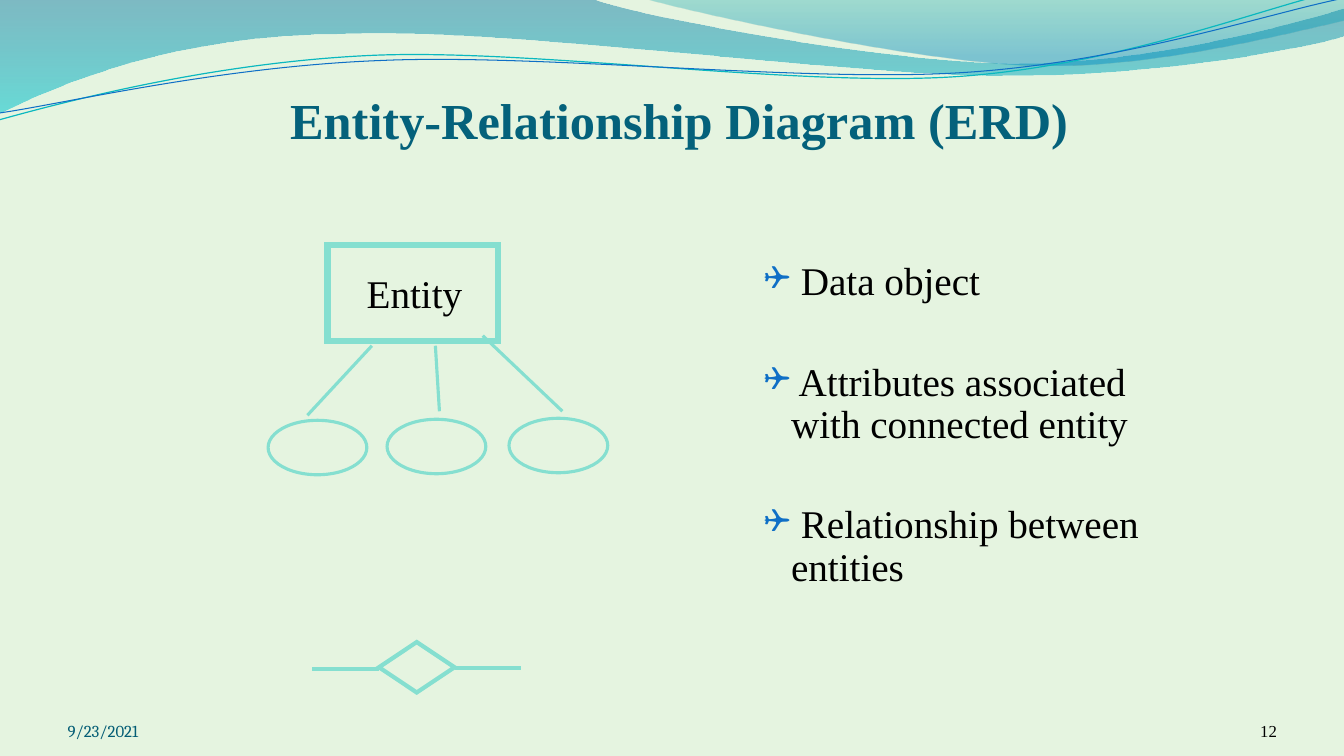
import math
from dataclasses import dataclass

import pptx
import pptx.dml.color
import pptx.enum.shapes
import pptx.enum.text
import pptx.oxml
import pptx.oxml.ns
import pptx.util
from lxml import etree

COLORS = {
    "background": "E5F4E0", "title": "04617B", "text": "000000", "date": "045D75",
    "diagram": "85DFD0", "bullet": "0F6FC6", "teal line": "0AB8BF",
    "blue line": "0F6FC6", "deep": "0074A1", "cyan": "00C6CF",
    "green": "00A1A9", "sky": "008BBF",
}
SERIF = "Times New Roman"
SHAPES = pptx.enum.shapes.MSO_SHAPE
ALIGN = pptx.enum.text.PP_ALIGN
ANCHOR = pptx.enum.text.MSO_ANCHOR
TILT = 2.7  # degrees, anticlockwise
TILT_CENTER = (6.66, 0.58)

Point = tuple[float, float]


@dataclass
class Stop:
    color: str
    position: float
    opacity: int


@dataclass
class Wave:
    """A start point, then corners (one point) and curves (three points)."""
    start: Point
    pieces: list[tuple[Point, ...]]
    stops: tuple[Stop, ...] = ()
    line: str = ""
    weight: float = 0


@dataclass
class Outline:
    kind: int
    left: float
    top: float
    width: float
    height: float
    weight: float


@dataclass
class Link:
    start: Point
    end: Point
    weight: float


WAVES = [
    Wave((0, -0.01), [
        ((5.87, -0.01),),
        ((6.34, 0.17), (8.85, 0.63), (10.11, 0.63)),
        ((11.38, 0.63), (12.78, 0.26), (13.33, 0.09)),
        ((13.35, 0.36),),
        ((13.11, 0.44), (11.6, 0.76), (9.94, 0.75)),
        ((8.29, 0.75), (5.09, 0.28), (3.43, 0.34)),
        ((1.72, 0.35), (0.61, 0.83), (-0.01, 1.13)),
    ], stops=(Stop("deep", 0, 45), Stop("cyan", 1, 55))),
    Wave((6.39, -0.01), [
        ((6.79, 0.11), (9.09, 0.62), (10.25, 0.65)),
        ((11.41, 0.69), (12.82, 0.32), (13.33, 0.21)),
        ((13.33, 0),),
    ], stops=(Stop("green", 0, 30), Stop("sky", 0.8, 45))),
    Wave((-0.01, 1.19), [
        ((0.64, 1.01), (2.11, 0.62), (3.69, 0.55)),
        ((5.27, 0.48), (7.9, 0.87), (9.5, 0.76)),
        ((11.1, 0.65), (12.52, 0.08), (13.31, -0.1)),
    ], line="teal line", weight=0.85),
    Wave((0, 1.12), [
        ((0.63, 1.03), (2.18, 0.66), (3.78, 0.6)),
        ((5.37, 0.53), (7.96, 0.82), (9.55, 0.72)),
        ((11.15, 0.62), (12.55, 0.14), (13.34, -0.02)),
    ], line="blue line", weight=0.75),
]
OUTLINES = [
    Outline(SHAPES.RECTANGLE, 3.25, 2.43, 1.69, 0.95, 4.5),
    Outline(SHAPES.DIAMOND, 3.76, 6.37, 0.75, 0.5, 3),
    *(Outline(SHAPES.OVAL, left, top, 0.98, 0.54, 2.25)
      for left, top in ((2.66, 4.17), (3.84, 4.16), (5.05, 4.15))),
]
LINKS = [
    Link((3.05, 4.12), (3.69, 3.43), 2.25),
    Link((4.36, 4.08), (4.32, 3.43), 2.25),
    Link((5.58, 4.08), (4.79, 3.33), 2.25),
    Link((3.1, 6.64), (3.76, 6.64), 3),
    Link((4.51, 6.63), (5.17, 6.63), 3),
]
MEANINGS = [" Data object", " Attributes associated with connected entity",
            " Relationship between entities"]


def inch(value: float) -> pptx.util.Length:
    return pptx.util.Cm(value * 2.54)


def rgb(name: str) -> pptx.dml.color.RGBColor:
    return pptx.dml.color.RGBColor.from_string(COLORS[name])


def add_child(parent, tag: str, **attributes: str):
    return etree.SubElement(parent, pptx.oxml.ns.qn(tag), **attributes)


def set_line(item, color: str, weight: float) -> None:
    item.line.color.rgb = rgb(color)
    item.line.width = pptx.util.Pt(weight)


def untilt(point: Point) -> Point:
    angle = math.radians(TILT)
    across, down = point[0] - TILT_CENTER[0], point[1] - TILT_CENTER[1]
    return (TILT_CENTER[0] + across * math.cos(angle) - down * math.sin(angle),
            TILT_CENTER[1] + across * math.sin(angle) + down * math.cos(angle))


def bend(shape, pieces: list[tuple[Point, ...]]) -> None:
    """Join the straight segments of each three-point piece into one curve."""
    segments = iter(list(shape.element.iter(pptx.oxml.ns.qn("a:lnTo"))))
    for piece in pieces:
        group = [next(segments) for _ in piece]
        if len(group) == 3:
            curve = pptx.oxml.parse_xml(
                f'<a:cubicBezTo {pptx.oxml.ns.nsdecls("a")}/>')
            group[0].addprevious(curve)
            for segment in group:
                curve.append(segment[0])
                segment.getparent().remove(segment)


def draw_wave(page, wave: Wave) -> None:
    points = [wave.start, *(point for piece in wave.pieces for point in piece)]
    if wave.line:
        points = [untilt(point) for point in points]
    corners = [(inch(x), inch(y)) for x, y in points]
    builder = page.shapes.build_freeform(*corners[0])
    builder.add_line_segments(corners[1:], close=bool(wave.stops))
    shape = builder.convert_to_shape()
    bend(shape, wave.pieces)
    shape.shadow.inherit = False
    if wave.line:
        shape.rotation = -TILT
        shape.fill.background()
        set_line(shape, wave.line, wave.weight)
        return
    shape.line.fill.background()
    shape.fill.gradient()
    shape.fill.gradient_angle = 270
    for target, stop in zip(shape.fill.gradient_stops, wave.stops):
        target.color.rgb = rgb(stop.color)
        target.position = stop.position
    for color, stop in zip(shape.element.iter(pptx.oxml.ns.qn("a:srgbClr")), wave.stops):
        add_child(color, "a:alpha", val=str(stop.opacity * 1000))


def draw_outline(page, outline: Outline) -> None:
    shape = page.shapes.add_shape(outline.kind, inch(outline.left), inch(outline.top),
                                  inch(outline.width), inch(outline.height))
    shape.shadow.inherit = False
    shape.fill.background()
    set_line(shape, "diagram", outline.weight)
    add_child(shape.element.spPr.find(pptx.oxml.ns.qn("a:ln")), "a:miter", lim="800000")


def draw_link(page, link: Link) -> None:
    line = page.shapes.add_connector(pptx.enum.shapes.MSO_CONNECTOR.STRAIGHT,
                                     *map(inch, link.start + link.end))
    set_line(line, "diagram", link.weight)
    add_child(line.element.spPr, "a:effectLst")


def add_bullet(para) -> None:
    props = para._p.get_or_add_pPr()
    props.set("marL", str(inch(0.7)))
    props.set("indent", str(inch(-0.27)))
    add_child(add_child(props, "a:buClr"), "a:srgbClr", val=COLORS["bullet"])
    add_child(props, "a:buSzPct", val="85000")
    add_child(props, "a:buFont", typeface="Wingdings")
    add_child(props, "a:buChar", char="❑")


def add_text(page, texts: list[str], place: tuple[float, float, float, float], *,
             size: float = 28, font: str = SERIF, color: str = "text", bold: bool = False,
             align=ALIGN.LEFT, anchor=ANCHOR.TOP, wrap: bool = True, bullets: bool = False,
             insets: tuple[float, float, float, float] = (0, 0, 0, 0),
             spacing: float = 1, gap: float = 0) -> None:
    frame = page.shapes.add_textbox(*map(inch, place)).text_frame
    frame.word_wrap = wrap
    frame.vertical_anchor = anchor
    frame.margin_left, frame.margin_top, frame.margin_right, frame.margin_bottom = map(inch, insets)
    for index, text in enumerate(texts):
        para = frame.add_paragraph() if index else frame.paragraphs[0]
        if bullets:
            add_bullet(para)
        para.alignment = align
        para.line_spacing = spacing
        if index:
            para.space_before = pptx.util.Pt(gap)
        span = para.add_run()
        span.text = text
        span.font.size = pptx.util.Pt(size)
        span.font.name = font
        span.font.bold = bold
        span.font.color.rgb = rgb(color)


def main() -> None:
    deck = pptx.Presentation()
    deck.slide_width, deck.slide_height = pptx.util.Cm(33.87), pptx.util.Cm(19.05)
    page = deck.slides.add_slide(deck.slide_layouts[6])
    page.background.fill.solid()
    page.background.fill.fore_color.rgb = rgb("background")
    # Waves along the top
    for wave in WAVES:
        draw_wave(page, wave)
    # Title and meanings
    add_text(page, ["Entity-Relationship Diagram (ERD)"], (1.87, 0.84, 9.74, 0.64), size=36,
             color="title", bold=True, align=ALIGN.CENTER, anchor=ANCHOR.BOTTOM,
             insets=(0, 0.05, 0, 0))
    add_text(page, MEANINGS, (7.05, 1.91, 4.99, 5.45), bullets=True,
             insets=(0.1, 0.69, 0.1, 0.05), spacing=0.9, gap=41.4)
    # Diagram symbols
    for outline in OUTLINES:
        draw_outline(page, outline)
    for link in LINKS:
        draw_link(page, link)
    add_text(page, ["Entity"], (3.54, 2.62, 1.16, 0.57), wrap=False,
             insets=(0.1, 0.05, 0.1, 0.05))
    # Footer
    add_text(page, ["9/23/2021"], (0.67, 6.95, 3.11, 0.4), size=12, font="Cambria",
             color="date", anchor=ANCHOR.BOTTOM)
    add_text(page, ["12"], (11.56, 6.95, 1.11, 0.4), size=12, align=ALIGN.RIGHT,
             anchor=ANCHOR.BOTTOM)
    deck.save("out.pptx")


if __name__ == "__main__":
    main()
